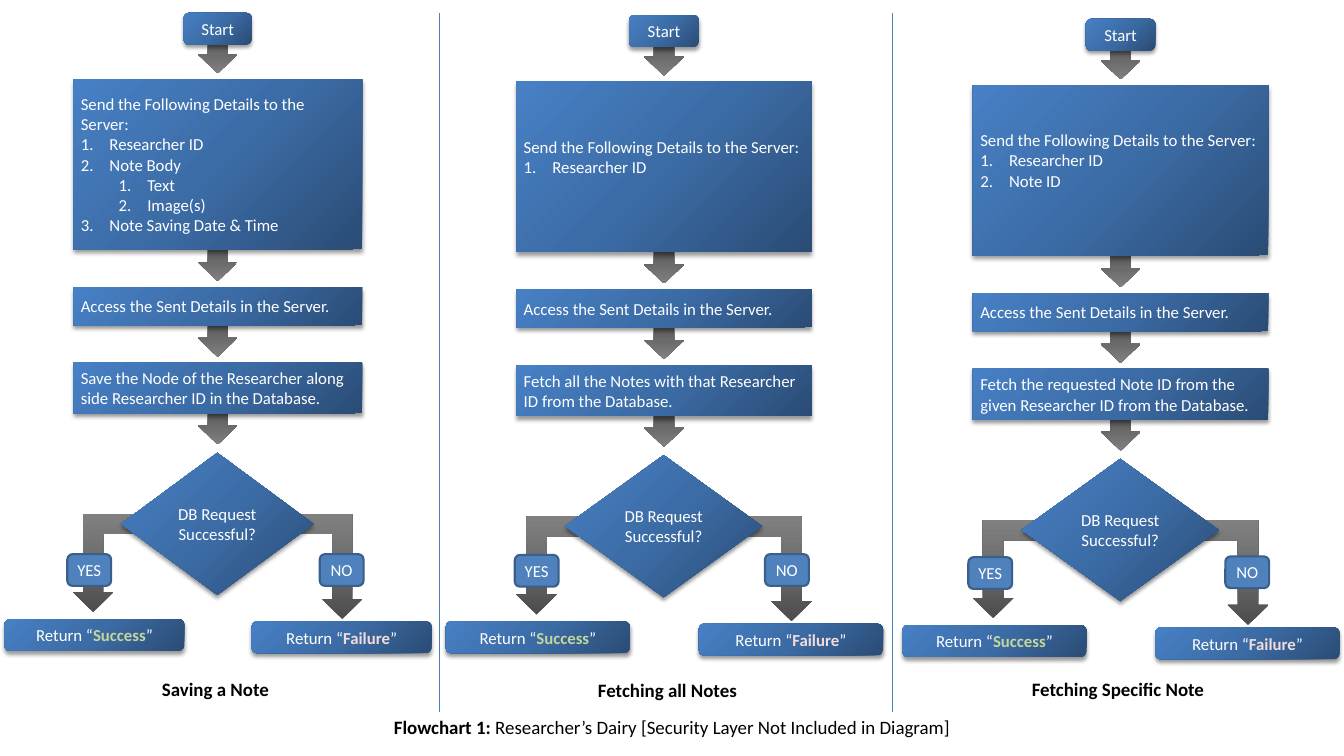
from lxml import etree
from pptx import Presentation
from pptx.dml.color import RGBColor
from pptx.enum.shapes import MSO_CONNECTOR, MSO_SHAPE
from pptx.enum.text import MSO_ANCHOR, MSO_AUTO_SIZE, PP_ALIGN
from pptx.oxml import parse_xml
from pptx.oxml.ns import nsdecls, qn
from pptx.util import Inches, Pt

FONT = "Calibri"
WHITE = RGBColor(0xFF, 0xFF, 0xFF)
BLACK = RGBColor(0x00, 0x00, 0x00)
SUCCESS = RGBColor(0xC3, 0xD6, 0x9B)
FAILURE = RGBColor(0xF2, 0xDC, 0xDB)
TAG_FILL = RGBColor(0x4F, 0x81, 0xBD)
TAG_LINE = RGBColor(0x3A, 0x5F, 0x8C)
DIVIDER = RGBColor(0x4B, 0x7E, 0xBC)
BLUES = [RGBColor(0x2A, 0x4C, 0x75), RGBColor(0x3C, 0x6C, 0xA6), RGBColor(0x47, 0x80, 0xC5)]
GREYS = [RGBColor(0x4C, 0x4C, 0x4C), RGBColor(0x6B, 0x6B, 0x6B), RGBColor(0x80, 0x80, 0x80)]

BASE_WIDTH = 3.82  # step width at scale 1
LINE_HEIGHT = 0.27  # one line of 16 pt text

# Numbered items are (level, text); spare is the room kept free below the list
COLUMNS = [
    dict(left=0.97, drop=0, width=3.82, spare=0,
         items=[(0, "Researcher ID"), (0, "Note Body"), (1, "Text"), (1, "Image(s)"),
                (0, "Note Saving Date & Time")],
         action="Save the Node of the Researcher along side Researcher ID in the Database.",
         tags=[("YES", 0.89, 7.33), ("NO", 4.23, 7.33)],
         caption=("Saving a Note", -0.01, 8.92)),
    dict(left=6.83, drop=0.03, width=3.91, spare=LINE_HEIGHT,
         items=[(0, "Researcher ID")],
         action="Fetch all the Notes with that Researcher ID from the Database.",
         tags=[("YES", 6.81, 7.34), ("NO", 10.12, 7.33)],
         caption=("Fetching all Notes", 5.97, 8.93)),
    dict(left=12.87, drop=0.08, width=3.91, spare=LINE_HEIGHT,
         items=[(0, "Researcher ID"), (0, "Note ID")],
         action="Fetch the requested Note ID from the given Researcher ID from the Database.",
         tags=[("YES", 12.81, 7.37), ("NO", 16.21, 7.36)],
         caption=("Fetching Specific Note", 11.93, 8.92)),
]


def set_gradient(sp, colors, angle):
    sp.fill.gradient()
    sp.fill.gradient_angle = angle
    stops = sp._element.spPr.find(".//" + qn("a:gsLst"))
    for stop in list(stops):
        stops.remove(stop)
    for pos, color in zip((0, 50000, 100000), colors):
        stops.append(parse_xml(f'<a:gs {nsdecls("a")} pos="{pos}">'
                               f'<a:srgbClr val="{color}"/></a:gs>'))


def add_plain_shape(shapes, kind, x, y, w, h):
    sp = shapes.add_shape(kind, Inches(x), Inches(y), Inches(w), Inches(h))
    sp.shadow.inherit = False
    sp.line.fill.background()
    return sp


def add_arrow(shapes, kind, x, y, w, h, flips=()):
    sp = add_plain_shape(shapes, kind, x, y, w, h)
    set_gradient(sp, GREYS, 270)
    for flip in flips:
        sp._element.spPr.xfrm.set(flip, "1")


def write_paragraph(p, runs, size=16, align=PP_ALIGN.CENTER, color=WHITE):
    """Write runs given as (text, colour or None, bold)."""
    p.alignment = align
    p.font.name, p.font.size = FONT, Pt(size)
    p.font.color.rgb = color
    for text, run_color, bold in runs:
        r = p.add_run()
        r.text = text
        r.font.name, r.font.size = FONT, Pt(size)
        r.font.bold = bold
        r.font.color.rgb = run_color or color


def add_node(shapes, kind, x, y, w, h, runs, align=PP_ALIGN.CENTER):
    sp = add_plain_shape(shapes, kind, x, y, w, h)
    set_gradient(sp, BLUES, 135)
    effects = sp._element.spPr.find(qn("a:effectLst"))
    effects.append(parse_xml(
        f'<a:outerShdw {nsdecls("a")} blurRad="{Pt(4)}" dist="{Pt(3)}" dir="5400000" '
        'rotWithShape="0"><a:srgbClr val="000000"><a:alpha val="40000"/></a:srgbClr>'
        '</a:outerShdw>'))
    tf = sp.text_frame
    tf.word_wrap = True
    tf.vertical_anchor = MSO_ANCHOR.MIDDLE
    write_paragraph(tf.paragraphs[0], runs, align=align)
    return tf


def add_numbered_items(tf, items):
    for level, text in items:
        p = tf.add_paragraph()
        p.level = level
        write_paragraph(p, [(text, None, False)], align=PP_ALIGN.LEFT)
        pPr = p._p.get_or_add_pPr()
        pPr.set("marL", str(Inches(0.38 + 0.5 * level)))
        pPr.set("indent", str(-Inches(0.38)))
        number = etree.Element(qn("a:buAutoNum"), type="arabicPeriod")
        pPr.insert_element_before(number, "a:tabLst", "a:defRPr", "a:extLst")


def add_flow(s, col):
    shapes = s.shapes.add_group_shape().shapes
    scale = col["width"] / BASE_WIDTH

    def place(dx, y, w, h):
        return col["left"] + dx * scale, y + col["drop"], w * scale, h

    # Arrows
    for y in (5.38, 4.22, 3.22, 0.47):
        add_arrow(shapes, MSO_SHAPE.DOWN_ARROW, *place(1.65, y, 0.52, 0.5))
    bent = MSO_SHAPE.BENT_UP_ARROW
    add_arrow(shapes, bent, *place(0, 6.8, 1.05, 1.3), flips=("flipH", "flipV"))
    add_arrow(shapes, bent, *place(2.77, 6.8, 1.05, 1.39), flips=("flipV",))

    # Start and steps
    rounded = MSO_SHAPE.FLOWCHART_ALTERNATE_PROCESS
    add_node(shapes, rounded, *place(1.46, 0.17, 0.9, 0.42), [("Start", None, False)])
    steps = [("Send the Following Details to the Server:", 1.05, 2.25),
             ("Access the Sent Details in the Server.", 3.8, 0.5),
             (col["action"], 4.8, 0.67)]
    frames = [add_node(shapes, MSO_SHAPE.RECTANGLE, *place(0, y, BASE_WIDTH, h),
                       [(text, None, False)], PP_ALIGN.LEFT) for text, y, h in steps]
    add_numbered_items(frames[0], col["items"])
    frames[0].margin_bottom = Inches(0.05 + col["spare"])

    # Outcomes and decision
    for word, color, dx, y in (("Success", SUCCESS, -0.91, 8.19),
                               ("Failure", FAILURE, 2.36, 8.22)):
        add_node(shapes, rounded, *place(dx, y, 2.38, 0.42),
                 [("Return “", None, False), (word, color, True), ("”", None, False)])
    add_node(shapes, MSO_SHAPE.FLOWCHART_DECISION, *place(0.63, 5.99, 2.55, 1.88),
             [("DB Request Successful?", None, False)])


def add_tag(s, text, x, y):
    sp = add_plain_shape(s.shapes, MSO_SHAPE.ROUNDED_RECTANGLE, x, y, 0.58, 0.42)
    sp.fill.solid()
    sp.fill.fore_color.rgb = TAG_FILL
    sp.line.color.rgb = TAG_LINE
    sp.line.width = Pt(2)
    tf = sp.text_frame
    tf.vertical_anchor = MSO_ANCHOR.MIDDLE
    tf.word_wrap = True
    write_paragraph(tf.paragraphs[0], [(text, None, False)])


def add_label(s, runs, x, y, w):
    tf = s.shapes.add_textbox(Inches(x), Inches(y), Inches(w), Inches(0.4)).text_frame
    tf.word_wrap = True
    tf.auto_size = MSO_AUTO_SIZE.SHAPE_TO_FIT_TEXT
    write_paragraph(tf.paragraphs[0], runs, size=18, color=BLACK)


def add_divider(s, x):
    line = s.shapes.add_connector(MSO_CONNECTOR.STRAIGHT, Inches(x), Inches(0.17),
                                  Inches(x), Inches(9.42))
    line.line.color.rgb = DIVIDER
    line.line.width = Pt(0.75)
    etree.SubElement(line._element.spPr, qn("a:effectLst"))


def main():
    prs = Presentation()
    prs.slide_width, prs.slide_height = Inches(17.78), Inches(10)
    s = prs.slides.add_slide(prs.slide_layouts[6])

    # Title line under the flows
    add_label(s, [("Flowchart 1: ", None, True),
                  ("Researcher’s Dairy [Security Layer Not Included in Diagram]", None, False)],
              0, 9.42, 17.78)

    # Three flows with their tags and captions
    for col in COLUMNS:
        add_flow(s, col)
        for tag in col["tags"]:
            add_tag(s, *tag)
        text, x, y = col["caption"]
        add_label(s, [(text, None, True)], x, y, 5.72)

    # Column dividers
    for x in (5.81, 11.81):
        add_divider(s, x)

    prs.save("out.pptx")


if __name__ == "__main__":
    main()
